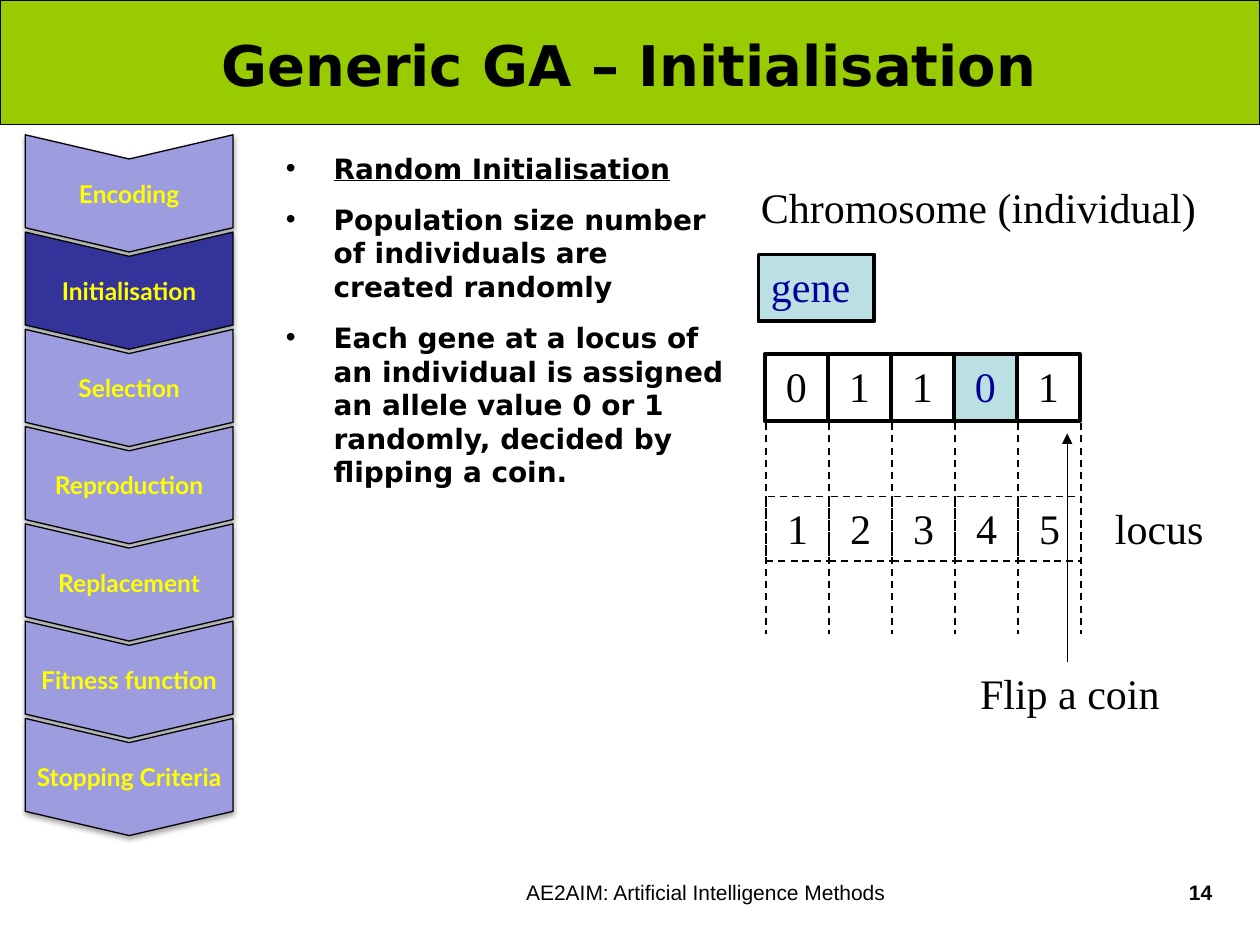
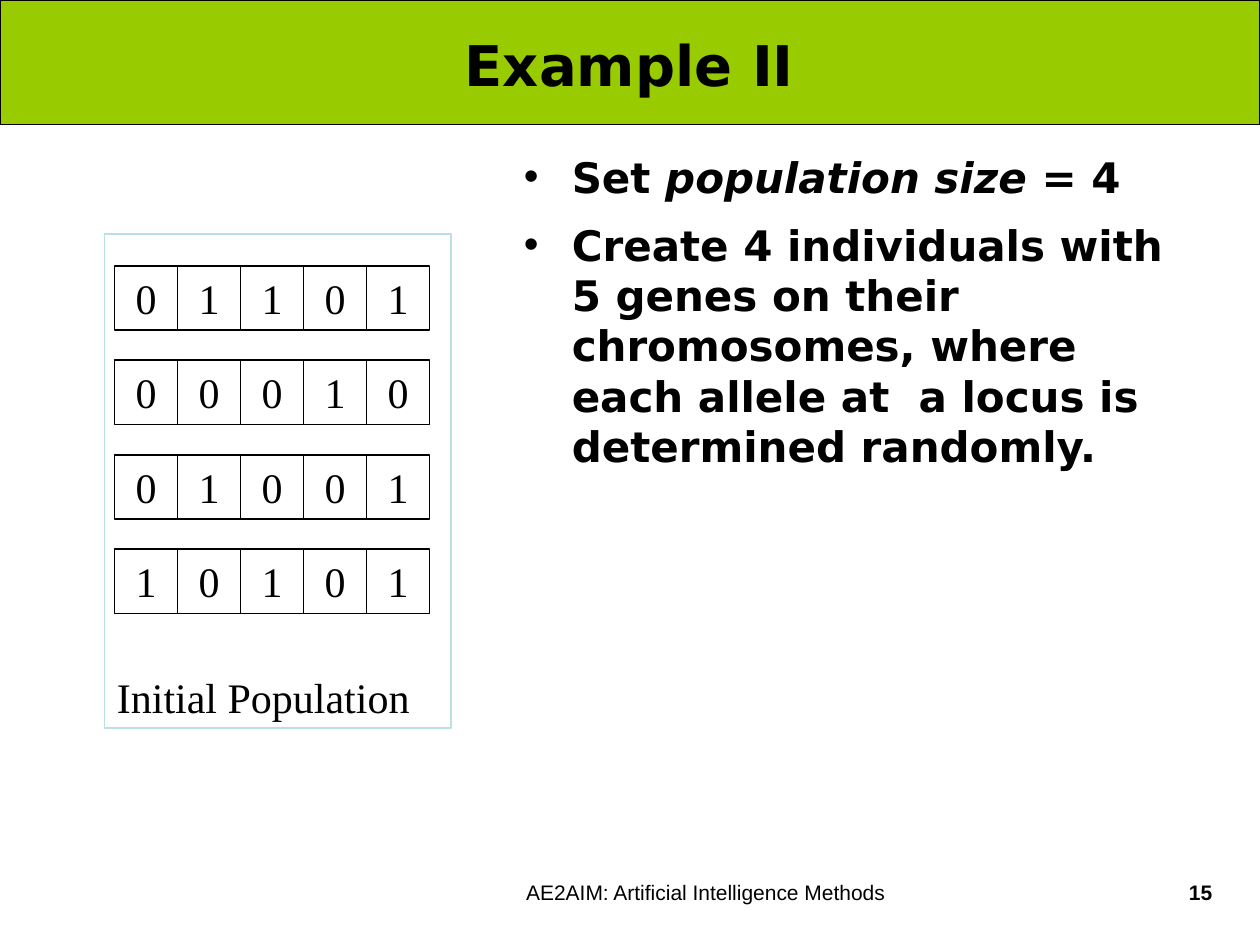
from lxml import etree
from pptx import Presentation
from pptx.dml.color import RGBColor
from pptx.enum.dml import MSO_LINE
from pptx.enum.shapes import MSO_CONNECTOR, MSO_SHAPE
from pptx.enum.text import MSO_ANCHOR, MSO_AUTO_SIZE, PP_ALIGN
from pptx.oxml.ns import qn
from pptx.util import Inches, Pt

RECT, CHEVRON = MSO_SHAPE.RECTANGLE, MSO_SHAPE.CHEVRON
STRAIGHT, DASH = MSO_CONNECTOR.STRAIGHT, MSO_LINE.DASH
LEFT, CENTER, RIGHT = PP_ALIGN.LEFT, PP_ALIGN.CENTER, PP_ALIGN.RIGHT
TOP, MIDDLE = MSO_ANCHOR.TOP, MSO_ANCHOR.MIDDLE
GROW = MSO_AUTO_SIZE.SHAPE_TO_FIT_TEXT

# Shared colours and text styles
BLACK, GREEN, TEAL, NAVY = "000000", "99CC00", "BBE0E3", "000099"
LILAC, INDIGO, YELLOW = "9C9CDF", "333399", "FFFF00"
TITLE = {"name": "DejaVu Sans", "size": Pt(32), "bold": True}
DIAGRAM = {"name": "Times New Roman", "size": Pt(24)}
STEP = {"name": "Lato", "size": Pt(14), "bold": True}
FOOTER = {"name": "Arial", "size": Pt(12)}
CELL = 0.5


def add_box(page, at, paras=(), style=DIAGRAM, ink=BLACK, fill=None, line=None,
            width=1, dash=None, shape=RECT, align=LEFT, anchor=TOP,
            inset=None, bullets=False, grow=False):
    """Add a shape, or a text box when it has neither fill nor line."""
    place = [Inches(value) for value in at]
    if fill or line:
        box = page.shapes.add_shape(shape, *place)
        box.shadow.inherit = False
        box.fill.background()
        if fill:
            box.fill.solid()
            box.fill.fore_color.rgb = RGBColor.from_string(fill)
        box.line.color.rgb = RGBColor.from_string(line)
        box.line.width = Pt(width)
        if dash:
            box.line.dash_style = dash
    else:
        box = page.shapes.add_textbox(*place)
    frame = box.text_frame
    frame.word_wrap = True
    frame.vertical_anchor = anchor
    if grow:
        frame.auto_size = GROW
    if inset is not None:
        for side in ("left", "top", "right", "bottom"):
            setattr(frame, f"margin_{side}", Inches(inset))
    for index, spans in enumerate(paras):
        para = frame.add_paragraph() if index else frame.paragraphs[0]
        para.alignment = align
        if bullets:
            properties = para._p.get_or_add_pPr()
            properties.set("marL", str(Inches(0.38)))
            properties.set("indent", str(-Inches(0.38)))
            etree.SubElement(properties, qn("a:buFont"), typeface="Arial")
            etree.SubElement(properties, qn("a:buChar"), char="•")
            if index:
                para.space_before = Pt(10)
        for text, extra in spans:
            span = para.add_run()
            span.text = text
            for name, value in {**style, **extra}.items():
                setattr(span.font, name, value)
            span.font.color.rgb = RGBColor.from_string(ink)
    return box


def add_line(page, start, end, width, dash=None, arrow=False):
    points = [Inches(value) for value in (*start, *end)]
    connector = page.shapes.add_connector(STRAIGHT, *points)
    connector.line.color.rgb = RGBColor.from_string(BLACK)
    connector.line.width = Pt(width)
    if dash:
        connector.line.dash_style = dash
    properties = connector.element.spPr
    if arrow:
        etree.SubElement(properties.find(qn("a:ln")), qn("a:tailEnd"), type="triangle")
    etree.SubElement(properties, qn("a:effectLst"))


deck = Presentation()
deck.slide_width, deck.slide_height = Inches(10), Inches(7.5)

# Band, title, bullets, page number and footer of each slide
slides = [
    ("Generic GA – Initialisation", 14, (2.17, 1.15, 3.69, 5.59), 16, [
        [("Random Initialisation", {"underline": True})],
        [("Population size number of individuals are created randomly", {})],
        [("Each gene at a locus of an individual is assigned an allele value "
          "0 or 1 randomly, decided by flipping a coin.", {})],
    ]),
    ("Example II", 15, (4.06, 1.15, 5.46, 5.59), 24, [
        [("Set ", {}), ("population size", {"italic": True}), (" = 4", {})],
        [("Create 4 individuals with 5 genes on their chromosomes, where each "
          "allele at  a locus is determined randomly.", {})],
    ]),
]
pages = []
for title, number, body_at, body_size, body in slides:
    page = deck.slides.add_slide(deck.slide_layouts[6])
    pages.append(page)
    add_box(page, (0, 0, 10, 0.99), fill=GREEN, line=BLACK, width=0.75)
    add_box(page, body_at, body, {**TITLE, "size": Pt(body_size)}, bullets=True)
    add_box(page, (8.62, 6.93, 1.1, 0.52), [[(str(number), {"bold": True})]],
            FOOTER, align=RIGHT)
    add_box(page, (0.35, 0.02, 9.29, 0.98), [[(title, {})]], TITLE,
            align=CENTER, anchor=MIDDLE)
    add_box(page, (2.87, 6.93, 5.51, 0.52),
            [[("AE2AIM: Artificial Intelligence Methods ", {})]], FOOTER, align=CENTER)
initialisation, example = pages

# Labels around the chromosome
labels = [
    ("Chromosome (individual)", (5.94, 1.39, 3.67, 0.5)),
    ("locus", (8.75, 3.94, 1.25, 0.5)),
    ("Flip a coin", (7.68, 5.25, 1.89, 0.5)),
]
for label, at in labels:
    add_box(initialisation, at, [[(label, {})]], grow=True)

# Locus numbers with dashed guides
for index, locus in enumerate("12345"):
    add_box(initialisation, (6.08 + index * CELL, 3.94, CELL, 0.51), [[(locus, {})]],
            line=BLACK, dash=DASH, align=CENTER, grow=True)
for index in range(6):
    guide = 6.08 + index * CELL
    add_line(initialisation, (guide, 3.36), (guide, 5.03), 1, DASH)

# Chromosome with one highlighted gene, drawn last so its border stays on top
for index in (0, 1, 2, 4, 3):
    is_gene = index == 3
    add_box(initialisation, (6.07 + index * CELL, 2.81, CELL, 0.53),
            [[("01101"[index], {})]], ink=NAVY if is_gene else BLACK,
            fill=TEAL if is_gene else None, line=BLACK, width=2.25,
            align=CENTER, grow=True)
add_box(initialisation, (6.02, 2.02, 0.92, 0.53), [[("gene", {})]], ink=NAVY,
        fill=TEAL, line=BLACK, width=2.25, grow=True)
add_line(initialisation, (8.47, 5.25), (8.47, 3.44), 0.75, arrow=True)

# Chevron column of the algorithm's steps
steps = ["Encoding", "Initialisation", "Selection", "Reproduction",
         "Replacement", "Fitness function", "Stopping Criteria"]
for index, step in enumerate(steps):
    chevron = add_box(initialisation, (0.56, 0.71 + index * 0.772, 0.93, 1.65),
                      [[(step, {})]], STEP, YELLOW,
                      INDIGO if step == "Initialisation" else LILAC, BLACK, 0.75,
                      shape=CHEVRON, align=CENTER, anchor=MIDDLE, inset=0)
    chevron.rotation = 90
    chevron.adjustments[0] = 0.207
    chevron.element.txBody.bodyPr.set("vert", "vert270")
    effects = chevron.element.spPr.find(qn("a:effectLst"))
    shadow = etree.SubElement(effects, qn("a:outerShdw"), blurRad=str(Pt(3.1)),
                              dist=str(Pt(1.8)), dir="5400000", rotWithShape="0")
    shade = etree.SubElement(shadow, qn("a:srgbClr"), val=BLACK)
    etree.SubElement(shade, qn("a:alpha"), val="35000")

# Initial population of four individuals
for row, genes in enumerate(["01101", "00010", "01001", "10101"]):
    for column, allele in enumerate(genes):
        add_box(example, (0.91 + column * CELL, 2.11 + row * 0.75, CELL, 0.51),
                [[(allele, {})]], line=BLACK, align=CENTER, grow=True)
add_box(example, (0.83, 1.86, 2.75, 3.92), line=TEAL)
add_box(example, (0.83, 5.28, 2.75, 0.51), [[("Initial Population", {})]], grow=True)

deck.save("out.pptx")
